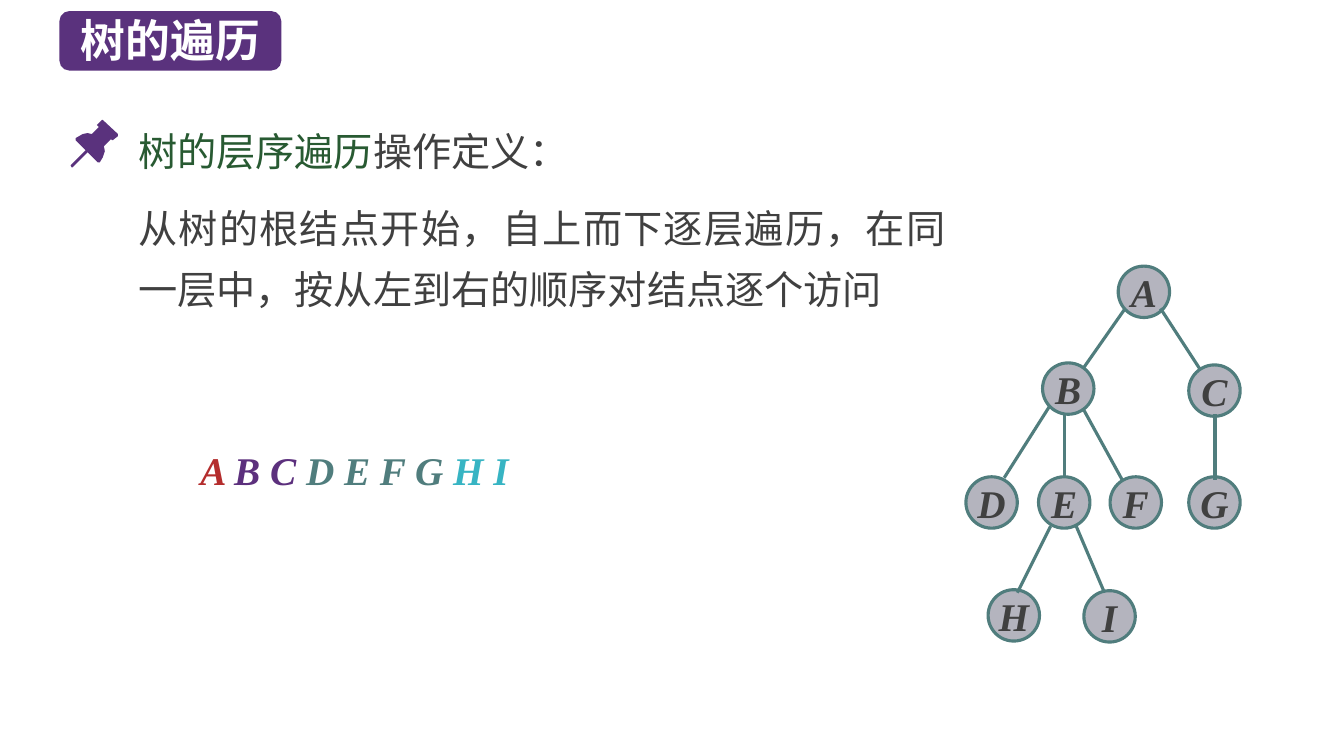
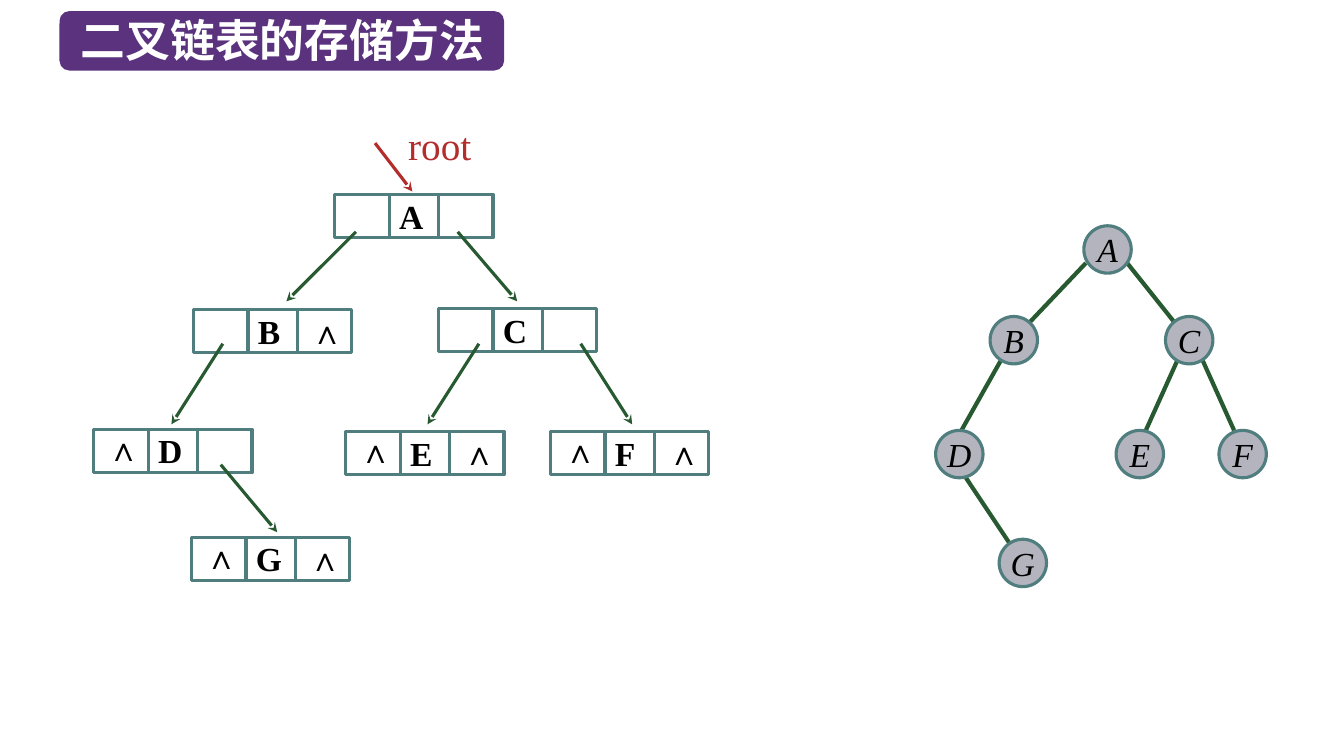
from lxml import etree
from pptx import Presentation
from pptx.dml.color import RGBColor
from pptx.enum.shapes import MSO_CONNECTOR, MSO_SHAPE
from pptx.enum.text import MSO_ANCHOR, MSO_AUTO_SIZE, PP_ALIGN
from pptx.oxml.ns import qn
from pptx.util import Pt

EMU_PER_PX = 9144
SLIDE_SIZE = (1333, 750)

PURPLE = RGBColor(0x5A, 0x32, 0x7D)
VIOLET = RGBColor(0x5C, 0x30, 0x7D)
GREEN = RGBColor(0x28, 0x5A, 0x32)
TEAL = RGBColor(0x50, 0x7D, 0x7D)
CYAN = RGBColor(0x37, 0xB4, 0xC3)
RED = RGBColor(0xB4, 0x2D, 0x2D)
GREY = RGBColor(0xB4, 0xB4, 0xBE)
DARK = RGBColor(0x40, 0x40, 0x40)
BLACK = RGBColor(0, 0, 0)
WHITE = RGBColor(0xFF, 0xFF, 0xFF)

HAN = "Noto Sans CJK SC"
SERIF = "Times New Roman"

LEFT, CENTER, JUSTIFY = PP_ALIGN.LEFT, PP_ALIGN.CENTER, PP_ALIGN.JUSTIFY
TOP, MIDDLE = MSO_ANCHOR.TOP, MSO_ANCHOR.MIDDLE
FIXED = MSO_AUTO_SIZE.NONE
STRAIGHT = MSO_CONNECTOR.STRAIGHT
ELLIPSE, RECTANGLE = MSO_SHAPE.OVAL, MSO_SHAPE.RECTANGLE
ROUNDED = MSO_SHAPE.ROUNDED_RECTANGLE

TITLE_FONT = {"name": HAN, "size": Pt(32), "bold": True}
BODY_FONT = {"name": HAN, "size": Pt(28)}
ORDER_FONT = {"name": SERIF, "size": Pt(28), "bold": True, "italic": True}
ROOT_FONT = {"name": SERIF, "size": Pt(28)}
NODE_FONT = {"name": SERIF, "size": Pt(24), "italic": True}
CELL_FONT = {"name": SERIF, "size": Pt(24), "bold": True}

BODY_PARA = {"alignment": JUSTIFY, "line_spacing": Pt(43.6), "space_before": Pt(0)}

PIN_HEAD = [(117, 133), (102, 119), (101, 119), (96, 124), (98, 126), (91, 133),
            (87, 132), (82, 133), (75, 137), (75, 139), (97, 161), (99, 161),
            (102, 156), (104, 150), (103, 145), (110, 138), (111, 139),
            (112, 139), (117, 135)]
PIN_NEEDLE = [(71, 166), (70, 164), (86, 148), (88, 148), (88, 150), (72, 166)]

TREE_NODES = {"A": (1109, 264), "B": (1034, 360), "C": (1179, 362),
              "D": (958, 473), "E": (1030, 473), "F": (1101, 473),
              "G": (1179, 473), "H": (980, 585), "I": (1075, 586)}
TREE_EDGES = [(1116, 306, 1074, 366), (1151, 306, 1190, 366),
              (1205, 411, 1205, 476), (1056, 410, 1056, 474),
              (1074, 405, 1113, 476), (1067, 521, 1095, 587),
              (1041, 403, 996, 474), (1042, 522, 1009, 588)]

BINARY_NODES = {"A": (1075, 224), "B": (982, 314), "C": (1156, 314),
                "D": (928, 427), "E": (1107, 427), "F": (1209, 427),
                "G": (991, 535)}
BINARY_EDGES = [(1077, 261, 1021, 320), (1118, 261, 1165, 320),
                (993, 357, 953, 428), (958, 474, 1002, 540),
                (1168, 357, 1136, 428), (1193, 358, 1224, 427)]

RECORD_WIDTH, RECORD_HEIGHT = 157, 43
CELL_OFFSET, CELL_WIDTH = 54, 49
NULL_OFFSETS = {"left": (7, -2), "right": (110, 0)}
RECORDS = [("A", 332, 193, ()), ("B", 192, 307, ("right",)),
           ("C", 435, 306, ()), ("D", 93, 426, ("left",)),
           ("E", 343, 428, ("left", "right")),
           ("F", 546, 428, ("left", "right")),
           ("G", 190, 533, ("left", "right"))]
POINTERS = [(353, 230, 284, 299), (454, 230, 513, 299), (221, 341, 170, 421),
            (475, 341, 424, 421), (576, 341, 627, 421), (219, 461, 275, 528)]


def px(*values):
    return [round(value * EMU_PER_PX) for value in values]


def apply_format(target, values):
    for name, value in values.items():
        setattr(target, name, value)


def place(shape, box):
    apply_format(shape, dict(zip(("left", "top", "width", "height"), px(*box))))


def set_frame(frame, insets=(0, 0, 0, 0), anchor=MIDDLE, wrap=False):
    margins = ("margin_left", "margin_top", "margin_right", "margin_bottom")
    apply_format(frame, dict(zip(margins, px(*insets))))
    apply_format(frame, {"auto_size": FIXED, "word_wrap": wrap,
                         "vertical_anchor": anchor})


def write(para, spans, font, align=LEFT):
    para.alignment = align
    for text, color in spans:
        span = para.add_run()
        span.text = text
        apply_format(span.font, font)
        span.font.color.rgb = color
        east_asian = etree.SubElement(span.font._element, qn("a:ea"))
        east_asian.set("typeface", font["name"])


def add_shape(page, kind, box, fill=None, line=None):
    shape = page.shapes.add_shape(kind, *px(*box))
    paint(shape, fill, line)
    return shape


def paint(shape, fill, line=None):
    shape.shadow.inherit = False
    for part, color in ((shape.fill, fill), (shape.line.fill, line)):
        if color is None:
            part.background()
        else:
            part.solid()
            part.fore_color.rgb = color
    if line is not None:
        shape.line.width = Pt(2.25)


def add_text(page, box, spans, font, insets=(10, 5, 10, 5), align=LEFT):
    shape = page.shapes.add_textbox(*px(*box))
    set_frame(shape.text_frame, insets, TOP)
    write(shape.text_frame.paragraphs[0], spans, font, align)


def add_line(page, ends, color, width=2.25, arrow=False):
    connector = page.shapes.add_connector(STRAIGHT, *px(*ends))
    connector.line.color.rgb = color
    connector.line.width = Pt(width)
    if arrow:
        tail = etree.SubElement(connector.line._get_or_add_ln(), qn("a:tailEnd"))
        tail.set("type", "stealth")
    etree.SubElement(connector._element.spPr, qn("a:effectLst"))


def add_outline(page, points):
    builder = page.shapes.build_freeform(*points[0], scale=EMU_PER_PX)
    builder.add_line_segments(points[1:], close=True)
    paint(builder.convert_to_shape(), PURPLE)


def add_title_page(deck, layout, text, width):
    page = deck.slides.add_slide(deck.slide_layouts[layout])
    badge = add_shape(page, ROUNDED, (59, 11, width, 59), PURPLE)
    page.shapes._spTree.insert(2, badge._element)
    title = page.shapes.title
    place(title, (70, 7, width - 12, 64))
    set_frame(title.text_frame, (10, 5, 10, 5))
    write(title.text_frame.paragraphs[0], [(text, WHITE)], TITLE_FONT)
    return page


def fill_body(page, paragraphs):
    body = page.placeholders[1]
    place(body, (137, 107, 801, 211))
    frame = body.text_frame
    set_frame(frame, (0, 5, 0, 5), TOP, True)
    for index, spans in enumerate(paragraphs):
        para = frame.paragraphs[0] if index == 0 else frame.add_paragraph()
        write(para, spans, BODY_FONT)
        apply_format(para, BODY_PARA)
        para.space_after = Pt(12 if index == 0 else 0)
        properties = para._p.get_or_add_pPr()
        for name in ("marL", "indent"):
            properties.set(name, "0")
        etree.SubElement(properties, qn("a:buNone"))


def add_nodes(page, nodes, size, font, color):
    for letter, (left, top) in nodes.items():
        node = add_shape(page, ELLIPSE, (left, top, size, size), GREY, TEAL)
        set_frame(node.text_frame)
        write(node.text_frame.paragraphs[0], [(letter, color)], font, CENTER)


def add_record(page, letter, left, top, nulls):
    add_shape(page, RECTANGLE, (left, top, RECORD_WIDTH, RECORD_HEIGHT), line=TEAL)
    cell_box = (left + CELL_OFFSET, top, CELL_WIDTH, RECORD_HEIGHT)
    cell = add_shape(page, RECTANGLE, cell_box, line=TEAL)
    set_frame(cell.text_frame, (10, 0, 2, 1))
    write(cell.text_frame.paragraphs[0], [(letter, BLACK)], CELL_FONT)
    for side in nulls:
        across, down = NULL_OFFSETS[side]
        add_text(page, (left + across, top + down, 46, 40), [("∧", BLACK)],
                 CELL_FONT, (6, 1, 2, 1))


def build_traversal(deck):
    page = add_title_page(deck, 1, "树的遍历", 220)
    fill_body(page, [
        [("树的层序遍历", GREEN), ("操作定义：", DARK)],
        [("从树的根结点开始，自上而下逐层遍历，在同一层中，按从左到右的顺序对结点逐个访问", DARK)],
    ])
    for points in (PIN_HEAD, PIN_NEEDLE):
        add_outline(page, points)
    add_nodes(page, TREE_NODES, 51, ORDER_FONT, DARK)
    for ends in TREE_EDGES:
        add_line(page, ends, TEAL)
    levels = [("A ", RED), ("B C ", VIOLET), ("D E F G ", TEAL), ("H I", CYAN)]
    add_text(page, (189, 438, 474, 57), levels, ORDER_FONT)


def build_storage(deck):
    page = add_title_page(deck, 5, "二叉链表的存储方法", 441)
    for ends in BINARY_EDGES:
        add_line(page, ends, GREEN, 3)
    add_nodes(page, BINARY_NODES, 47, NODE_FONT, BLACK)
    for record in RECORDS:
        add_record(page, *record)
    for ends in POINTERS:
        add_line(page, ends, GREEN, arrow=True)
    add_line(page, (372, 142, 409, 190), RED, arrow=True)
    add_text(page, (395, 115, 141, 57), [("root", RED)], ROOT_FONT)


def main():
    deck = Presentation()
    deck.slide_width, deck.slide_height = px(*SLIDE_SIZE)
    build_traversal(deck)
    build_storage(deck)
    deck.save("out.pptx")


if __name__ == "__main__":
    main()
